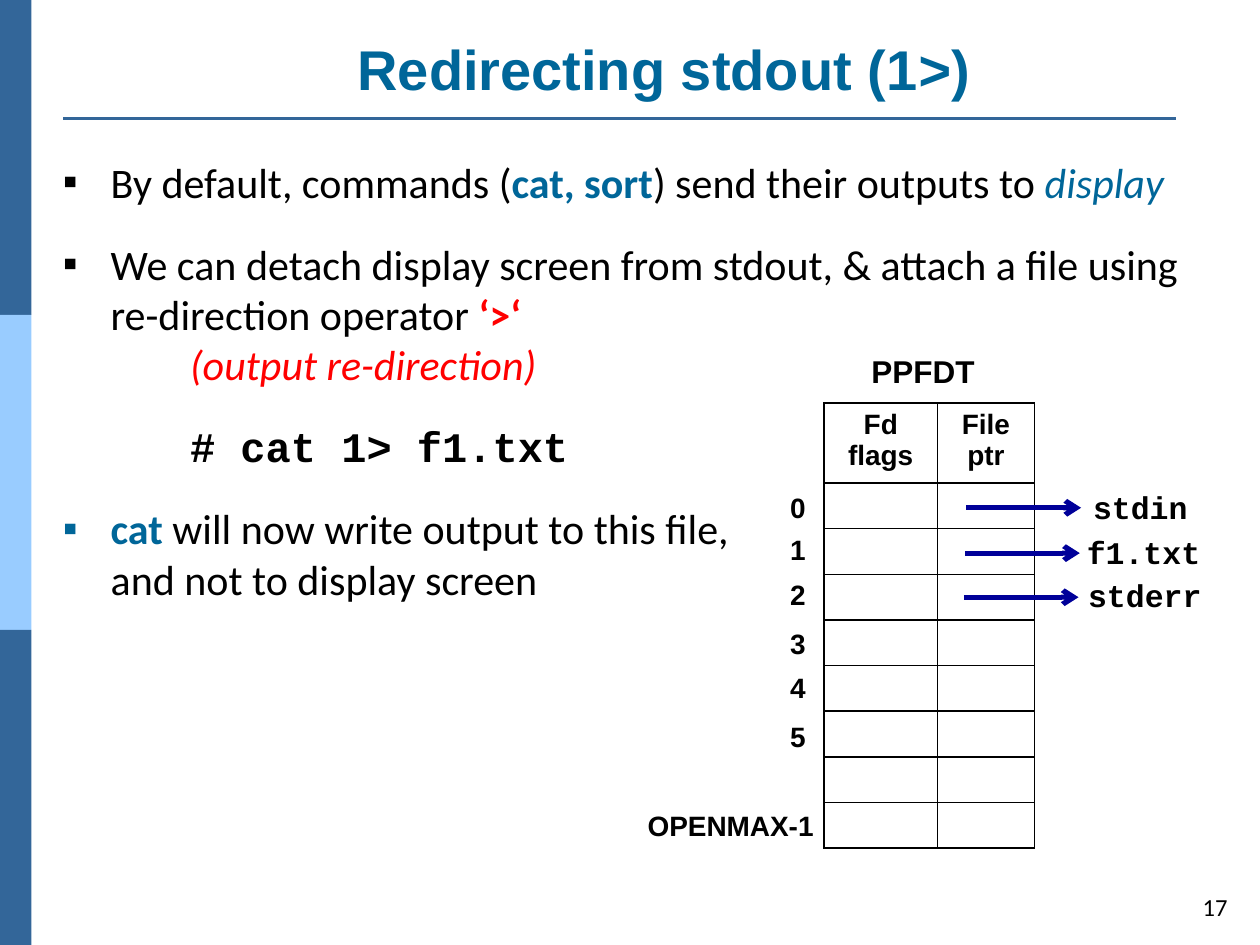
from pptx import Presentation
from pptx.dml.color import RGBColor
from pptx.enum.shapes import MSO_CONNECTOR, MSO_SHAPE
from pptx.enum.text import MSO_ANCHOR, PP_ALIGN
from pptx.oxml.ns import qn
from pptx.util import Inches, Pt
from lxml.etree import SubElement

COLORS = dict(bar="336699", light="99CCFF", teal="006699", black="000000",
              red="FF0000", arrow="000099")
SANS, BODY, MONO = "Arial", "Calibri", "Courier New"
TITLE = [("Redirecting stdout (1", SANS), (">", MONO), (")", SANS)]
POINTS = [
    (True, 0, BODY, [("By default, commands (", "black", ""),
                     ("cat, sort", "teal", "b"),
                     (") send their outputs to ", "black", ""),
                     ("display", "teal", "i")]),
    (True, 18, BODY, [("We can detach display screen from stdout, & attach "
                       "a file using re-direction operator ", "black", ""),
                      ("‘>‘", "red", "b")]),
    (False, 0, BODY, [("(output re-direction)", "red", "i")]),
    (False, 18, MONO, [("# cat 1> f1.txt", "black", "b")]),
    (True, 18, BODY, [("cat", "teal", "b"),
                      (" will now write output to this file,\n"
                       "and not to display screen", "black", "")]),
]
HEADS = ["Fd flags", "File ptr"]
COLS = [0.9, 0.77]
ROWS, HEAD, TALL = 8, 0.59, 2.9
INDEX = [("0", 6.18, 3.85), ("1", 6.18, 4.19), ("2", 6.18, 4.54),
         ("3", 6.18, 4.93), ("4", 6.18, 5.28), ("5", 6.18, 5.67),
         ("OPENMAX-1", 5.05, 6.38)]
FILES = [("stdin", 8.58, 3.83, 0.94, 7.67, 4.03),
         ("f1.txt", 8.53, 4.19, 1.09, 7.66, 4.39),
         ("stderr", 8.54, 4.53, 1.09, 7.65, 4.74)]


def color(name):
    return RGBColor.from_string(COLORS[name])


def style(font, face, size, tint="black", bold=True):
    font.name, font.size, font.bold = face, Pt(size), bold
    font.color.rgb = color(tint)


def frame(slide, x, y, w, h, anchor=MSO_ANCHOR.TOP, wrap=True):
    text = slide.shapes.add_textbox(*map(Inches, (x, y, w, h))).text_frame
    text.word_wrap, text.vertical_anchor = wrap, anchor
    return text


def label(slide, words, x, y, w, h, face, size, align=PP_ALIGN.CENTER):
    text = frame(slide, x, y, w, h, wrap=False)
    text.margin_left = text.margin_right = Inches(0.09)
    text.margin_top = text.margin_bottom = Inches(0.04)
    para = text.paragraphs[0]
    para.text, para.alignment = words, align
    style(para.font, face, size)


def line(slide, x, y, end, tint, width, arrow=False):
    link = slide.shapes.add_connector(
        MSO_CONNECTOR.STRAIGHT, *map(Inches, (x, y, end, y)))
    link.line.color.rgb, link.line.width = color(tint), Pt(width)
    if arrow:
        SubElement(link.line._get_or_add_ln(), qn("a:tailEnd"), type="arrow")
    SubElement(link._element.spPr, qn("a:effectLst"))


def border(cell):
    props = cell._tc.get_or_add_tcPr()
    for n, side in enumerate(("lnL", "lnR", "lnT", "lnB")):
        edge = props.makeelement(qn("a:" + side), {"w": str(Pt(1))})
        fill = SubElement(edge, qn("a:solidFill"))
        SubElement(fill, qn("a:srgbClr"), val=COLORS["black"])
        props.insert(n, edge)


def base(slide):
    for n, tint in enumerate(("bar", "light", "bar")):
        bar = slide.shapes.add_shape(
            MSO_SHAPE.RECTANGLE, 0, Inches(2.5 * n), Inches(0.25), Inches(2.5))
        bar.shadow.inherit = False
        bar.fill.solid()
        bar.fill.fore_color.rgb = color(tint)
        bar.line.fill.background()
    line(slide, 0.5, 0.94, 9.33, "bar", 1.5)
    para = frame(slide, 9.39, 6.99, 0.45, 0.41, MSO_ANCHOR.MIDDLE).paragraphs[0]
    para.text, para.alignment = "17", PP_ALIGN.RIGHT
    style(para.font, BODY, 14, bold=False)
    para = frame(slide, 1.15, 0.18, 8.24, 0.68, MSO_ANCHOR.BOTTOM).paragraphs[0]
    para.alignment = PP_ALIGN.CENTER
    for words, face in TITLE:
        run = para.add_run()
        run.text = words
        style(run.font, face, 32, "teal")


def body(slide):
    text = frame(slide, 0.4, 1.19, 9.25, 5.9)
    for n, (mark, gap, face, runs) in enumerate(POINTS):
        para = text.add_paragraph() if n else text.paragraphs[0]
        props = para._p.get_or_add_pPr()
        props.set("marL", str(Inches(0.38 if mark else 1.01)))
        props.set("indent", str(Inches(-0.38 if mark else 0)))
        if mark:
            SubElement(props, qn("a:buFont"), typeface=SANS)
            SubElement(props, qn("a:buChar"), char="▪")
        para.space_before = Pt(gap)
        for words, tint, look in runs:
            for k, part in enumerate(words.split("\n")):
                if k:
                    para.add_line_break()
                run = para.add_run()
                run.text = part
                style(run.font, face, 24, tint, look == "b")
                run.font.italic = look == "i"


def grid(slide):
    table = slide.shapes.add_table(
        ROWS + 1, len(COLS), Inches(6.54), Inches(3.2),
        Inches(sum(COLS)), Inches(HEAD + TALL)).table
    table.first_row = table.horz_banding = False
    for col, width in zip(table.columns, COLS):
        col.width = Inches(width)
    for n, row in enumerate(table.rows):
        row.height = Inches(TALL / ROWS if n else HEAD)
        for cell, head in zip(row.cells, HEADS):
            cell.fill.background()
            border(cell)
            cell.margin_left = cell.margin_right = Inches(0.09)
            cell.margin_top = cell.margin_bottom = Inches(0.02 if n else 0.05)
            para = cell.text_frame.paragraphs[0]
            if not n:
                para.text, para.alignment = head, PP_ALIGN.CENTER
            style(para.font, SANS, 12 if n else 16)


def main():
    deck = Presentation()
    deck.slide_width, deck.slide_height = Inches(10), Inches(7.5)
    slide = deck.slides.add_slide(deck.slide_layouts[6])
    base(slide)
    body(slide)
    grid(slide)
    label(slide, "PPFDT", 6.82, 2.75, 1.01, 0.38, SANS, 18)
    for words, x, y in INDEX:
        width = 0.31 if len(words) == 1 else 1.51
        label(slide, words, x, y, width, 0.35, SANS, 16, PP_ALIGN.LEFT)
    for words, x, y, width, start, mid in FILES:
        line(slide, start, mid, start + 0.91, "arrow", 2.89, True)
        label(slide, words, x, y, width, 0.38, MONO, 18)
    deck.save("out.pptx")


if __name__ == "__main__":
    main()
